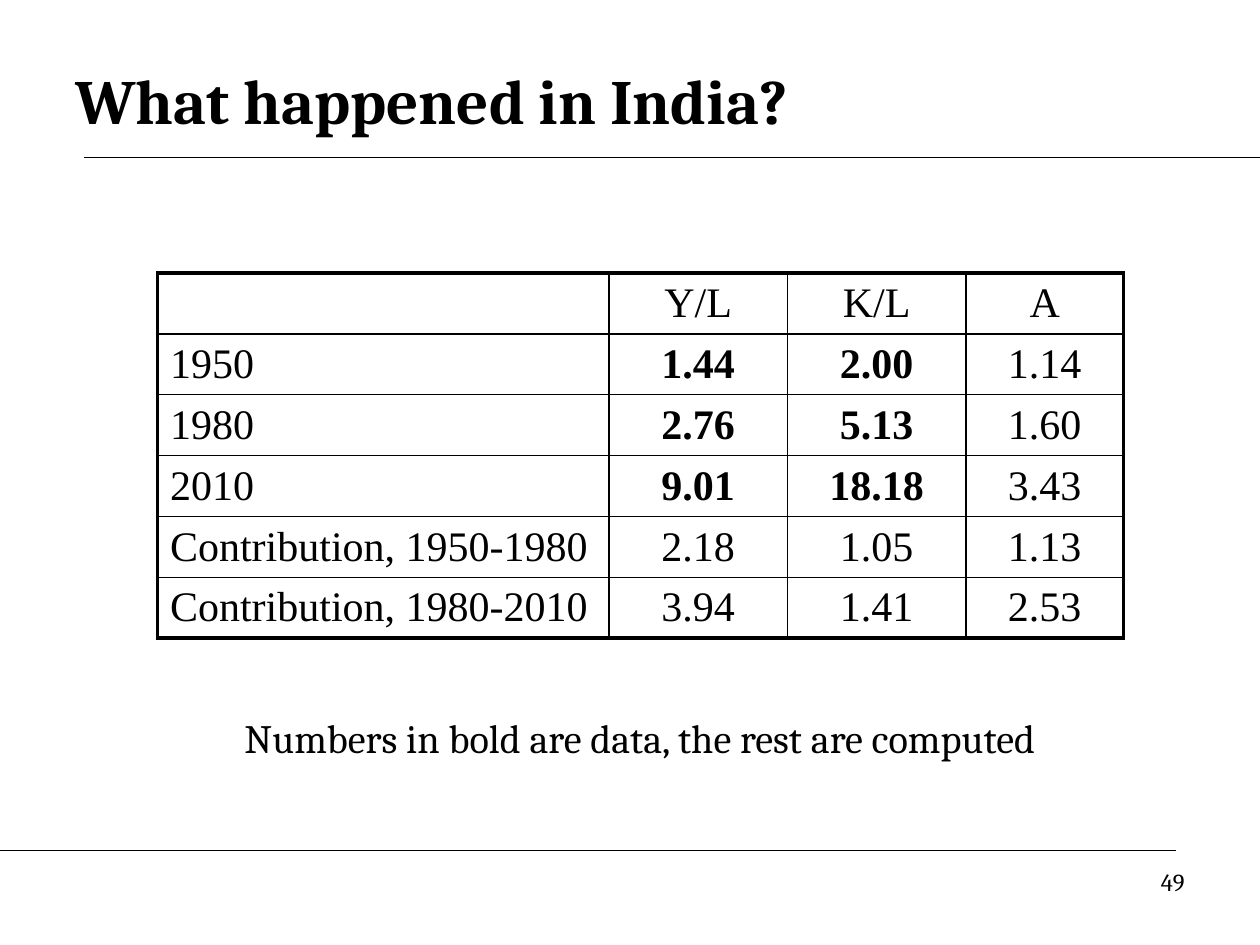
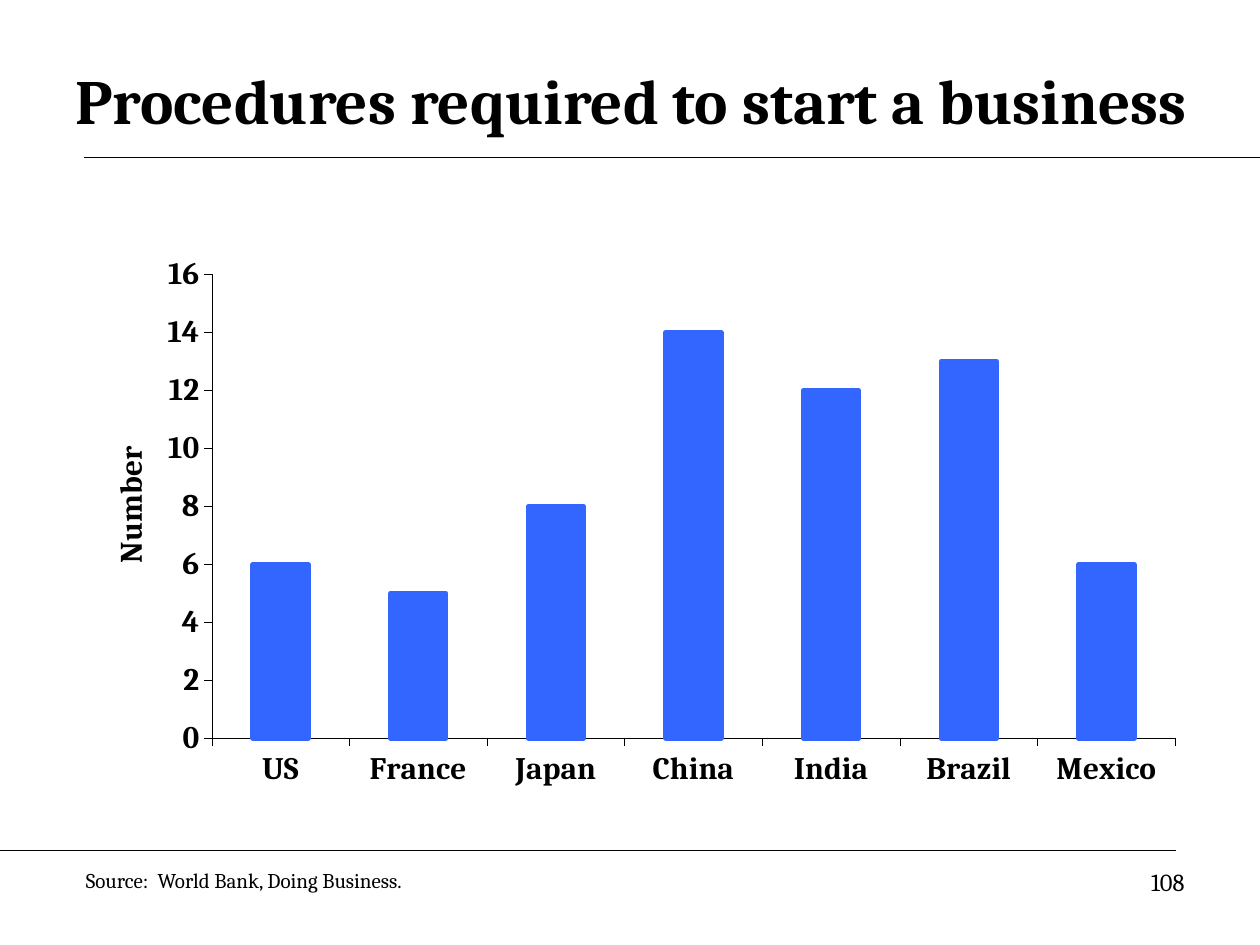
from dataclasses import dataclass

import pptx
import pptx.chart.data
import pptx.dml.color
import pptx.enum.chart
import pptx.enum.shapes
import pptx.enum.text
import pptx.oxml
import pptx.oxml.ns
import pptx.presentation
import pptx.slide
import pptx.util
from pptx.util import Pt

COLORS = {"ink": "000000", "paper": "FFFFFF", "bar": "3366FF"}
ALIGN = pptx.enum.text.PP_ALIGN
ANCHOR = pptx.enum.text.MSO_ANCHOR

TITLE_FONT = {"name": "Cambria", "size": Pt(36), "bold": True}
NOTE_FONT = {"name": "Cambria", "size": Pt(23), "bold": False}
PAGE_FONT = {"name": "Cambria", "size": Pt(14), "bold": False}
SOURCE_FONT = {"name": "Cambria", "size": Pt(12), "bold": False}
CHART_FONT = {"name": "Cambria", "size": Pt(17.9), "bold": True}
TABLE_FONT = {"name": "Times New Roman", "size": Pt(24)}


@dataclass(frozen=True)
class Rule:
    start: float
    end: float
    height: float


@dataclass(frozen=True)
class Label:
    left: float
    top: float
    width: float
    height: float
    font: dict
    align: int = ALIGN.LEFT
    anchor: int = ANCHOR.TOP


RULES = [Rule(48, 720, 90), Rule(0, 672, 486)]
TITLE = Label(36, 24, 654, 66, TITLE_FONT, anchor=ANCHOR.MIDDLE)
PAGE_NUMBER = Label(516, 492, 168, 37, PAGE_FONT, ALIGN.RIGHT)
NOTE = Label(48, 404, 636, 64, NOTE_FONT, ALIGN.CENTER)
SOURCE = Label(42, 492, 348, 22, SOURCE_FONT)

GROWTH_ROWS = [
    ["", "Y/L", "K/L", "A"],
    ["1950", "1.44", "2.00", "1.14"],
    ["1980", "2.76", "5.13", "1.60"],
    ["2010", "9.01", "18.18", "3.43"],
    ["Contribution, 1950-1980", "2.18", "1.05", "1.13"],
    ["Contribution, 1980-2010", "3.94", "1.41", "2.53"],
]
GROWTH_WIDTHS = [258, 102, 102, 90]
GROWTH_ROW_HEIGHT = 33.8
DATA_ROWS = range(1, 4)
DATA_COLUMNS = range(1, 3)
INNER_BORDER, OUTER_BORDER = 1, 2.25

PROCEDURES = {
    "US": 6,
    "France": 5,
    "Japan": 8,
    "China": 14,
    "India": 12,
    "Brazil": 13,
    "Mexico": 6,
}


def rgb(color: str) -> pptx.dml.color.RGBColor:
    return pptx.dml.color.RGBColor.from_string(COLORS[color])


def apply(target: object, values: dict) -> None:
    for name, value in values.items():
        setattr(target, name, value)


def style_font(font: object, values: dict) -> None:
    apply(font, values)
    font.color.rgb = rgb("ink")


def style_line(line: object, color: str, width: float) -> None:
    line.color.rgb = rgb(color)
    line.width = Pt(width)


def draw_label(slide: pptx.slide.Slide, label: Label, text: str) -> None:
    box = slide.shapes.add_textbox(
        Pt(label.left), Pt(label.top), Pt(label.width), Pt(label.height)
    )
    frame = box.text_frame
    apply(frame, {"word_wrap": True, "vertical_anchor": label.anchor, "text": text})
    frame.paragraphs[0].alignment = label.align
    style_font(frame.paragraphs[0].runs[0].font, label.font)


def draw_rule(slide: pptx.slide.Slide, rule: Rule) -> None:
    line = slide.shapes.add_connector(
        pptx.enum.shapes.MSO_CONNECTOR.STRAIGHT,
        Pt(rule.start),
        Pt(rule.height),
        Pt(rule.end),
        Pt(rule.height),
    )
    style_line(line.line, "ink", 0.75)
    properties = line.element.spPr
    properties.append(properties.makeelement(pptx.oxml.ns.qn("a:effectLst"), {}))


def add_page(
    deck: pptx.presentation.Presentation, title: str, number: int
) -> pptx.slide.Slide:
    slide = deck.slides.add_slide(deck.slide_layouts[6])
    slide.background.fill.solid()
    slide.background.fill.fore_color.rgb = rgb("paper")
    for rule in RULES:
        draw_rule(slide, rule)
    draw_label(slide, TITLE, title)
    draw_label(slide, PAGE_NUMBER, str(number))
    return slide


def set_borders(cell: object, outer_sides: dict[str, bool]) -> None:
    properties = cell._tc.get_or_add_tcPr()
    for index, (side, is_outer) in enumerate(outer_sides.items()):
        width = Pt(OUTER_BORDER if is_outer else INNER_BORDER)
        border = pptx.oxml.parse_xml(
            f'<a:ln{side} {pptx.oxml.ns.nsdecls("a")} w="{width}">'
            f'<a:solidFill><a:srgbClr val="{COLORS["ink"]}"/></a:solidFill>'
            f"</a:ln{side}>"
        )
        properties.insert(index, border)


def draw_growth_table(slide: pptx.slide.Slide) -> None:
    row_count, column_count = len(GROWTH_ROWS), len(GROWTH_WIDTHS)
    table = slide.shapes.add_table(
        row_count,
        column_count,
        Pt(90),
        Pt(156),
        Pt(sum(GROWTH_WIDTHS)),
        Pt(GROWTH_ROW_HEIGHT * row_count),
    ).table
    apply(table, {"first_row": False, "horz_banding": False})
    for column, width in zip(table.columns, GROWTH_WIDTHS):
        column.width = Pt(width)
    for r, values in enumerate(GROWTH_ROWS):
        table.rows[r].height = Pt(GROWTH_ROW_HEIGHT)
        for c, value in enumerate(values):
            cell = table.cell(r, c)
            apply(
                cell,
                {
                    "text": value,
                    "vertical_anchor": ANCHOR.MIDDLE,
                    "margin_top": Pt(3),
                    "margin_bottom": Pt(3),
                },
            )
            cell.fill.background()
            paragraph = cell.text_frame.paragraphs[0]
            paragraph.alignment = ALIGN.CENTER if c else ALIGN.LEFT
            is_data = r in DATA_ROWS and c in DATA_COLUMNS
            style_font(paragraph.font, {**TABLE_FONT, "bold": is_data})
            for run in paragraph.runs:
                style_font(run.font, {**TABLE_FONT, "bold": is_data})
            set_borders(
                cell,
                {
                    "L": c == 0,
                    "R": c == column_count - 1,
                    "T": r == 0,
                    "B": r == row_count - 1,
                },
            )


def set_layout(parent: object, index: int, settings: dict[str, object]) -> None:
    for old_layout in parent.findall(pptx.oxml.ns.qn("c:layout")):
        parent.remove(old_layout)
    entries = "".join(f'<c:{key} val="{value}"/>' for key, value in settings.items())
    layout = pptx.oxml.parse_xml(
        f'<c:layout {pptx.oxml.ns.nsdecls("c")}>'
        f"<c:manualLayout>{entries}</c:manualLayout></c:layout>"
    )
    parent.insert(index, layout)


def draw_procedures_chart(slide: pptx.slide.Slide) -> None:
    procedures = pptx.chart.data.CategoryChartData()
    procedures.categories = list(PROCEDURES)
    procedures.add_series("Series 1", list(PROCEDURES.values()))
    chart = slide.shapes.add_chart(
        pptx.enum.chart.XL_CHART_TYPE.COLUMN_CLUSTERED,
        Pt(40),
        Pt(130),
        Pt(638),
        Pt(348),
        procedures,
    ).chart
    apply(chart, {"has_legend": False, "has_title": False})
    style_font(chart.font, CHART_FONT)

    for axis in (chart.category_axis, chart.value_axis):
        apply(
            axis,
            {
                "has_major_gridlines": False,
                "major_tick_mark": pptx.enum.chart.XL_TICK_MARK.OUTSIDE,
                "minor_tick_mark": pptx.enum.chart.XL_TICK_MARK.NONE,
            },
        )
        style_line(axis.format.line, "ink", 0.25)
        style_font(axis.tick_labels.font, CHART_FONT)

    number_axis = chart.value_axis
    apply(number_axis, {"minimum_scale": 0, "maximum_scale": 16, "major_unit": 2})
    number_title = number_axis.axis_title
    number_title.text_frame.text = "Number"
    style_font(number_title.text_frame.paragraphs[0].runs[0].font, CHART_FONT)
    edges = {"xMode": "edge", "yMode": "edge"}
    set_layout(number_title.element, 1, {**edges, "x": 0.03, "y": 0.35})
    set_layout(
        chart.element.find(".//" + pptx.oxml.ns.qn("c:plotArea")),
        0,
        {
            "layoutTarget": "inner",
            **edges,
            "x": 0.127,
            "y": 0.077,
            "w": 0.863,
            "h": 0.762,
        },
    )

    bars = chart.plots[0]
    apply(bars, {"gap_width": 150, "vary_by_categories": False})
    countries = bars.series[0]
    countries.invert_if_negative = False
    countries.format.fill.solid()
    countries.format.fill.fore_color.rgb = rgb("bar")
    style_line(countries.format.line, "bar", 3)


def main() -> None:
    deck = pptx.Presentation()
    apply(deck, {"slide_width": Pt(720), "slide_height": Pt(540)})

    india = add_page(deck, "What happened in India?", 49)
    draw_growth_table(india)
    draw_label(india, NOTE, "Numbers in bold are data, the rest are computed")

    business = add_page(deck, "Procedures required to start a business", 108)
    draw_procedures_chart(business)
    draw_label(business, SOURCE, "Source:  World Bank, Doing Business.")

    deck.save("out.pptx")


if __name__ == "__main__":
    main()
